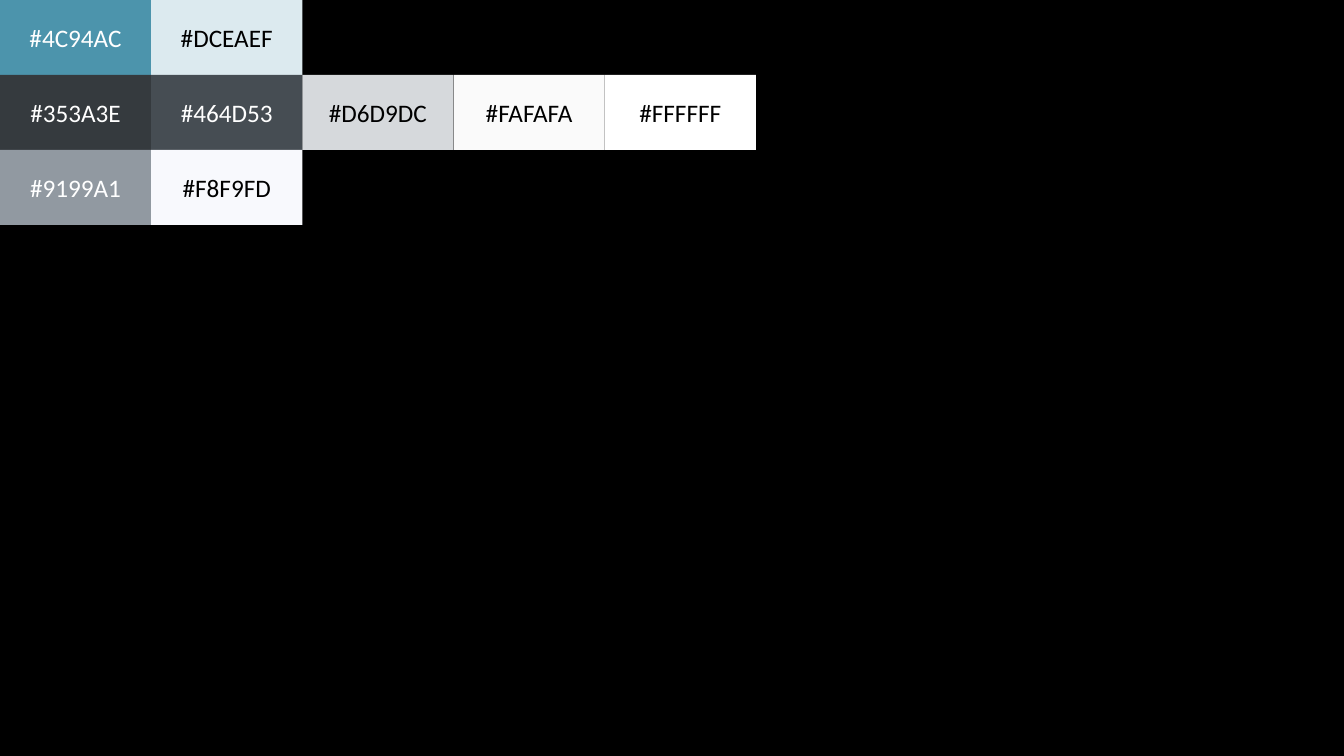
"""Builds a colour palette slide as rows of labelled swatches."""
from dataclasses import dataclass

from pptx import Presentation
from pptx import util as u
from pptx.dml.color import RGBColor
from pptx.enum import shapes, text


@dataclass(frozen=True)
class Theme:
    """Colours, font and type size of the slide."""

    backdrop: str = "000000"
    dark_ink: str = "000000"
    light_ink: str = "FFFFFF"
    font: str = "Calibri"
    label_size: int = 18
    light_from: int = 192


PALETTE = [
    ["4C94AC", "DCEAEF"],
    ["353A3E", "464D53", "D6D9DC", "FAFAFA", "FFFFFF"],
    ["9199A1", "F8F9FD"],
]
SWATCH_WIDTH = 3.81
SWATCH_HEIGHT = 1.89


class PalettePage:
    """Holds the theme and the page that swatches are drawn on."""

    def __init__(self, page, theme):
        """Set the page background from the theme."""
        self.page = page
        self.theme = theme
        fill = page.background.fill
        fill.solid()
        fill.fore_color.rgb = RGBColor.from_string(theme.backdrop)

    def ink_on(self, colour):
        """Choose the label colour that reads well on a fill."""
        is_light = sum(RGBColor.from_string(colour)) / 3 >= self.theme.light_from
        return self.theme.dark_ink if is_light else self.theme.light_ink

    def swatch(self, row, column, colour):
        """Draw one filled rectangle labelled with its hex code."""
        box = self.page.shapes.add_shape(
            shapes.MSO_SHAPE.RECTANGLE,
            u.Cm(column * SWATCH_WIDTH), u.Cm(row * SWATCH_HEIGHT),
            u.Cm(SWATCH_WIDTH), u.Cm(SWATCH_HEIGHT))
        box.shadow.inherit = False
        box.fill.solid()
        box.fill.fore_color.rgb = RGBColor.from_string(colour)
        box.line.fill.background()
        box.text_frame.vertical_anchor = text.MSO_ANCHOR.MIDDLE
        para = box.text_frame.paragraphs[0]
        para.text = f"#{colour}"
        para.alignment = text.PP_ALIGN.CENTER
        para.font.name = self.theme.font
        para.font.size = u.Pt(self.theme.label_size)
        para.font.color.rgb = RGBColor.from_string(self.ink_on(colour))


def main():
    """Build the deck and save it."""
    deck = Presentation()
    deck.slide_width, deck.slide_height = u.Cm(33.87), u.Cm(19.05)
    palette_page = PalettePage(deck.slides.add_slide(deck.slide_layouts[6]), Theme())
    for row, colours in enumerate(PALETTE):
        for column, colour in enumerate(colours):
            palette_page.swatch(row, column, colour)
    deck.save("out.pptx")


if __name__ == "__main__":
    main()
